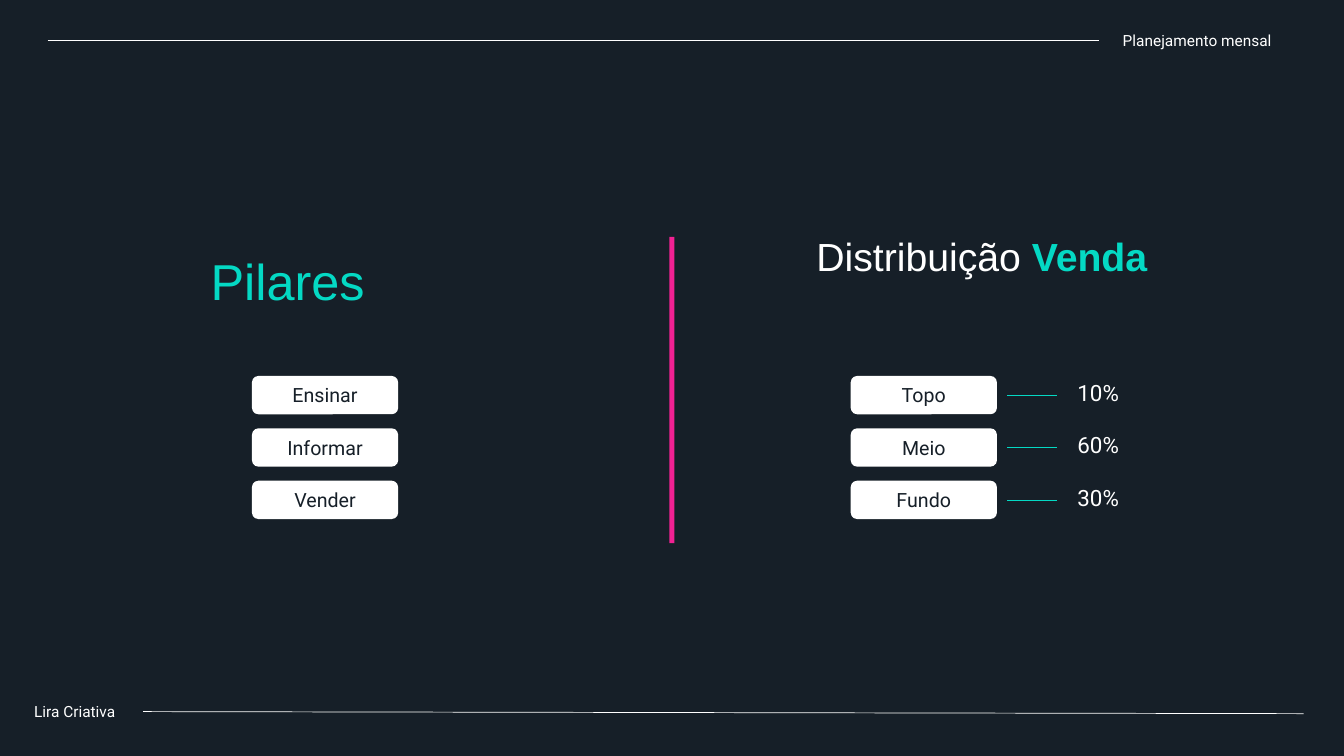
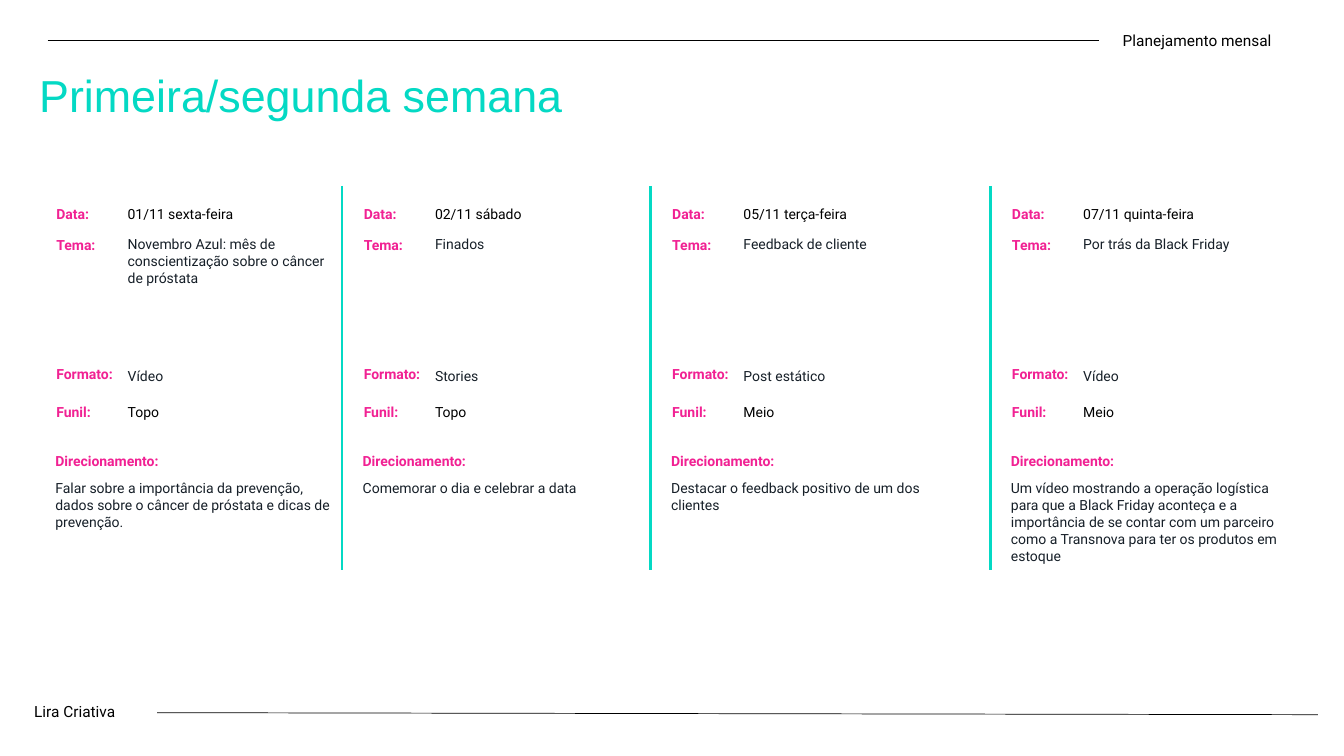
"""Build two slides of a monthly content plan."""
import pptx
import pptx.dml.color
import pptx.enum.shapes
import pptx.enum.text
import pptx.oxml.ns
import pptx.util

RGBColor = pptx.dml.color.RGBColor
SHAPES = pptx.enum.shapes.MSO_SHAPE
ALIGN = pptx.enum.text.PP_ALIGN
ANCHOR = pptx.enum.text.MSO_ANCHOR

INK = RGBColor(0x16, 0x1F, 0x28)
TEAL = RGBColor(0x04, 0xD9, 0xC4)
PINK = RGBColor(0xF1, 0x21, 0x93)
WHITE = RGBColor(0xFF, 0xFF, 0xFF)
BLACK = RGBColor(0x00, 0x00, 0x00)

TITLE_FONT = "Arial"
BODY_FONT = "Roboto"
SLIDE_WIDTH = pptx.util.Inches(13.33)
SLIDE_HEIGHT = pptx.util.Inches(7.5)

PILL_TOP, PILL_STEP = 49.73, 6.93
PILL_WIDTH, PILL_HEIGHT = 10.88, 5.07

FIELDS = [
    ("Data:", 26.5, 26.5, 3.6, BLACK),
    ("Tema:", 30.67, 30.53, 8.13, INK),
    ("Formato:", 47.73, 47.93, 3.6, INK),
    ("Funil:", 52.67, 52.67, 3.6, BLACK),
]
COLUMN_LEFTS = [3.38, 26.25, 49.2, 74.48]
POSTS = [
    (["01/11 sexta-feira",
      "Novembro Azul: mês de conscientização sobre o câncer de próstata",
      "Vídeo", "Topo"],
     "Falar sobre a importância da prevenção, dados sobre o câncer de "
     "próstata e dicas de prevenção."),
    (["02/11 sábado", "Finados", "Stories", "Topo"],
     "Comemorar o dia e celebrar a data"),
    (["05/11 terça-feira", "Feedback de cliente", "Post estático", "Meio"],
     "Destacar o feedback positivo de um dos clientes"),
    (["07/11 quinta-feira", "Por trás da Black Friday", "Vídeo", "Meio"],
     "Um vídeo mostrando a operação logística para que a Black Friday "
     "aconteça e a importância de se contar com um parceiro como a "
     "Transnova para ter os produtos em estoque"),
]


def across(share):
    return int(SLIDE_WIDTH * share / 100)


def down(share):
    return int(SLIDE_HEIGHT * share / 100)


def place(left, top, width, height):
    return across(left), down(top), across(width), down(height)


def add_run(paragraph, text, size, color, font=BODY_FONT, bold=False):
    run = paragraph.add_run()
    run.text = text
    run.font.name = font
    run.font.size = pptx.util.Pt(size)
    run.font.bold = bold
    run.font.color.rgb = color


def add_box(slide, *area):
    frame = slide.shapes.add_textbox(*place(*area)).text_frame
    frame.word_wrap = True
    return frame.paragraphs[0]


def add_text(slide, area, text, size, color, font=BODY_FONT, bold=False):
    add_run(add_box(slide, *area), text, size, color, font, bold)


def add_line(slide, left, top, right, bottom, color, weight=0.5):
    line = slide.shapes.add_connector(
        pptx.enum.shapes.MSO_CONNECTOR.STRAIGHT,
        across(left), down(top), across(right), down(bottom))
    line.line.color.rgb = color
    line.line.width = pptx.util.Pt(weight)
    properties = line._element.spPr
    properties.append(properties.makeelement(pptx.oxml.ns.qn("a:effectLst"), {}))


def add_block(slide, preset, area, color):
    shape = slide.shapes.add_shape(preset, *place(*area))
    shape.shadow.inherit = False
    shape.fill.solid()
    shape.fill.fore_color.rgb = color
    shape.line.fill.background()
    return shape


def add_pill(slide, left, top, text):
    area = (left, top, PILL_WIDTH, PILL_HEIGHT)
    frame = add_block(slide, SHAPES.ROUNDED_RECTANGLE, area, WHITE).text_frame
    frame.margin_top = frame.margin_bottom = 0
    frame.vertical_anchor = ANCHOR.MIDDLE
    paragraph = frame.paragraphs[0]
    paragraph.alignment = ALIGN.CENTER
    add_run(paragraph, text, 14, INK)


def add_page(presentation, background, color, footer_left, footer_top):
    slide = presentation.slides.add_slide(presentation.slide_layouts[6])
    slide.background.fill.solid()
    slide.background.fill.fore_color.rgb = background
    add_line(slide, 3.55, 5.35, 81.75, 5.35, color)
    add_text(slide, (82.8, 3.47, 15.7, 3.87), "Planejamento mensal", 11, color)
    add_text(slide, (1.8, 92.27, 8.85, 3.87), "Lira Criativa", 11, color)
    add_line(slide, footer_left, footer_top,
             footer_left + 86.35, footer_top + 0.27, color)
    return slide


def add_pillars_slide(presentation):
    slide = add_page(presentation, INK, WHITE, 10.65, 94.13)
    add_text(slide, (14.93, 32.4, 19.8, 9.47), "Pilares", 36, TEAL, TITLE_FONT)
    heading = add_box(slide, 58, 30.13, 30.1, 13.87)
    heading.alignment = ALIGN.CENTER
    add_run(heading, "Distribuição ", 28, WHITE, TITLE_FONT)
    add_run(heading, "Venda", 28, TEAL, TITLE_FONT, True)
    add_block(slide, SHAPES.RECTANGLE, (49.8, 31.33, 0.38, 40.53), PINK)
    rows = [("Ensinar", "Topo", "10%"),
            ("Informar", "Meio", "60%"),
            ("Vender", "Fundo", "30%")]
    for index, (pillar, stage, portion) in enumerate(rows):
        top = PILL_TOP + index * PILL_STEP
        middle = top + PILL_HEIGHT / 2
        add_pill(slide, 18.75, top, pillar)
        add_pill(slide, 63.3, top, stage)
        add_line(slide, 74.93, middle, 78.68, middle, TEAL)
        add_text(slide, (79.43, top - 0.25, 5.63, 4.93), portion, 16, WHITE)


def add_post(slide, left, values, direction):
    for (label, label_top, value_top, height, color), value in zip(FIELDS, values):
        add_text(slide, (left + 0.08, label_top, 6.8, 3.6), label, 10, PINK, bold=True)
        add_text(slide, (left + 5.38, value_top, 16.65, height), value, 10, color)
    add_text(slide, (left, 59.2, 10.65, 3.6), "Direcionamento:", 10, PINK, bold=True)
    add_text(slide, (left, 62.8, 22.13, 12.53), direction, 10, INK)


def add_weeks_slide(presentation):
    slide = add_page(presentation, WHITE, BLACK, 11.7, 94.27)
    add_text(slide, (2.18, 8.27, 65, 8.53), "Primeira/segunda semana",
             32, TEAL, TITLE_FONT)
    for left, (values, direction) in zip(COLUMN_LEFTS, POSTS):
        add_post(slide, left, values, direction)
    for left in COLUMN_LEFTS[1:]:
        add_line(slide, left - 0.8, 24.6, left - 0.8, 75.4, TEAL, 2)


def main():
    presentation = pptx.Presentation()
    presentation.slide_width = SLIDE_WIDTH
    presentation.slide_height = SLIDE_HEIGHT
    add_pillars_slide(presentation)
    add_weeks_slide(presentation)
    presentation.save("out.pptx")


if __name__ == "__main__":
    main()
